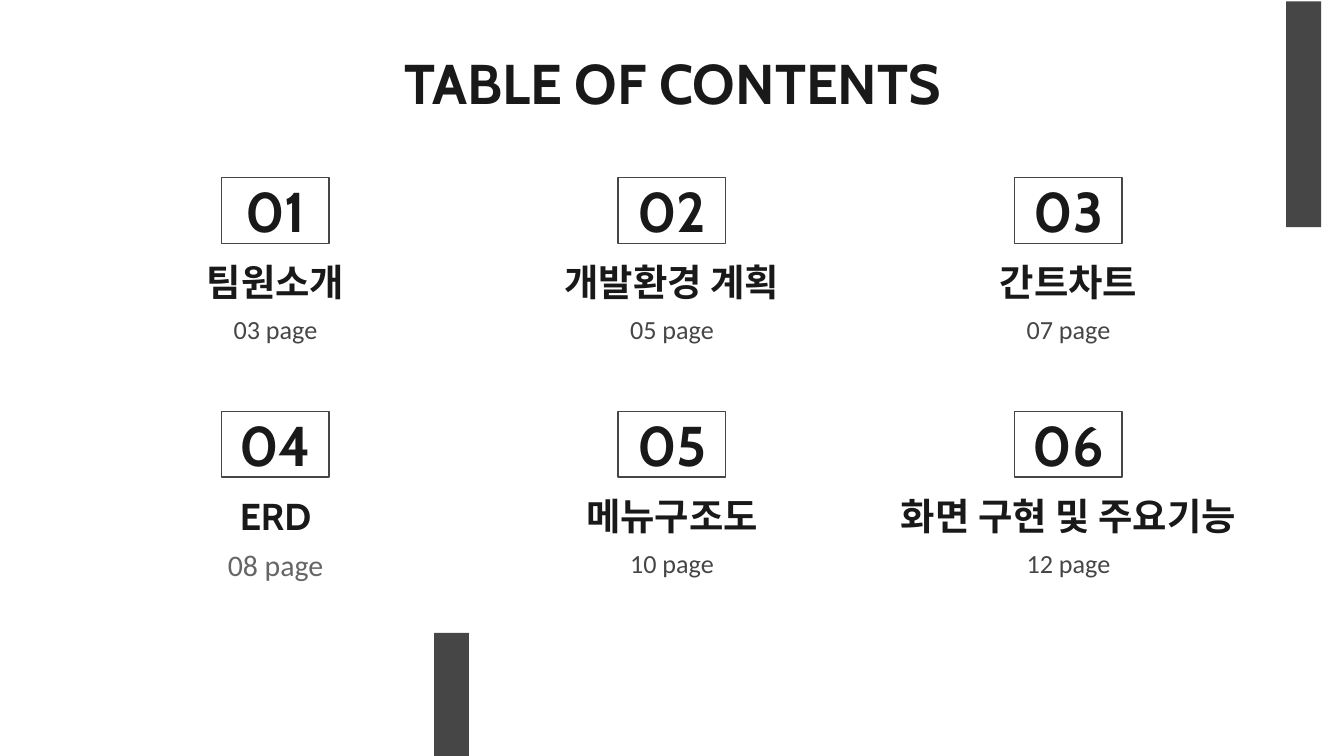
import dataclasses
import typing

import pptx
import pptx.dml.color
import pptx.enum.shapes
import pptx.enum.text
import pptx.presentation
import pptx.shapes.autoshape
import pptx.slide
import pptx.util

Inches = pptx.util.Inches
Anchor = pptx.enum.text.MSO_ANCHOR

SLIDE_WIDTH = 10
SLIDE_HEIGHT = SLIDE_WIDTH * 9 / 16


@dataclasses.dataclass(frozen=True)
class TextStyle:
    size: int
    name: str
    color: str
    bold: bool = False


@dataclasses.dataclass(frozen=True)
class Theme:
    background: str = "FFFFFF"
    accent: str = "474646"
    line_width: float = 0.75
    inset: float = 0.1
    title: TextStyle = TextStyle(30, "Cabin", "191919", True)
    label: TextStyle = TextStyle(20, "Cabin", "191919", True)
    page: TextStyle = TextStyle(14, "Calibri", "474646")
    large_page: TextStyle = TextStyle(16, "Calibri", "666666")


@dataclasses.dataclass(frozen=True)
class Grid:
    columns: int = 3
    center: float = 2.05
    column_pitch: float = 2.95
    top: float = 1.32
    row_pitch: float = 1.74
    text_width: float = 2.52


class Box(typing.NamedTuple):
    left: float
    top: float
    width: float
    height: float

    def lengths(self) -> list[pptx.util.Length]:
        return [Inches(value) for value in self]


THEME = Theme()
GRID = Grid()


class Section(typing.NamedTuple):
    label: str
    page: str
    label_width: float = GRID.text_width
    page_style: TextStyle = THEME.page


SECTIONS = [
    Section("팀원소개", "03 page"),
    Section("개발환경 계획", "05 page"),
    Section("간트차트", "07 page"),
    Section("ERD", "08 page", page_style=THEME.large_page),
    Section("메뉴구조도", "10 page"),
    Section("화면 구현 및 주요기능", "12 page", label_width=2.98),
]
BARS = [Box(9.57, 0.01, 0.26, 1.68), Box(3.23, 4.71, 0.26, SLIDE_HEIGHT - 4.71)]


def rgb(color: str) -> pptx.dml.color.RGBColor:
    return pptx.dml.color.RGBColor.from_string(color)


def write(shape: pptx.shapes.autoshape.Shape, text: str, style: TextStyle,
          anchor: Anchor = Anchor.TOP) -> None:
    frame = shape.text_frame
    inset = Inches(THEME.inset)
    frame_format = {
        "text": text,
        "word_wrap": True,
        "auto_size": pptx.enum.text.MSO_AUTO_SIZE.NONE,
        "vertical_anchor": anchor,
        "margin_left": inset,
        "margin_top": inset,
        "margin_right": inset,
        "margin_bottom": inset,
    }
    for name, value in frame_format.items():
        setattr(frame, name, value)
    paragraph = frame.paragraphs[0]
    paragraph.alignment = pptx.enum.text.PP_ALIGN.CENTER
    font = paragraph.runs[0].font
    font_format = {"size": pptx.util.Pt(style.size), "name": style.name, "bold": style.bold}
    for name, value in font_format.items():
        setattr(font, name, value)
    font.color.rgb = rgb(style.color)


def add_rectangle(slide: pptx.slide.Slide, box: Box) -> pptx.shapes.autoshape.Shape:
    shape = slide.shapes.add_shape(pptx.enum.shapes.MSO_SHAPE.RECTANGLE, *box.lengths())
    shape.shadow.inherit = False
    return shape


def add_bar(slide: pptx.slide.Slide, box: Box) -> None:
    bar = add_rectangle(slide, box)
    bar.fill.solid()
    bar.fill.fore_color.rgb = rgb(THEME.accent)
    bar.line.fill.background()


def add_number(slide: pptx.slide.Slide, box: Box, number: int) -> None:
    shape = add_rectangle(slide, box)
    shape.fill.background()
    shape.line.color.rgb = rgb(THEME.accent)
    shape.line.width = pptx.util.Pt(THEME.line_width)
    write(shape, f"{number:02d}", THEME.title, Anchor.MIDDLE)


def add_section(slide: pptx.slide.Slide, index: int, section: Section) -> None:
    row, column = divmod(index, GRID.columns)
    center = GRID.center + column * GRID.column_pitch
    top = GRID.top + row * GRID.row_pitch

    def cell(offset: float, width: float, height: float) -> Box:
        return Box(center - width / 2, top + offset, width, height)

    add_number(slide, cell(0, 0.8, 0.49), index + 1)
    label = slide.shapes.add_textbox(*cell(0.49, section.label_width, 0.55).lengths())
    write(label, section.label, THEME.label, Anchor.BOTTOM)
    page = slide.shapes.add_textbox(*cell(0.91, GRID.text_width, 0.63).lengths())
    write(page, section.page, section.page_style)


def add_title(slide: pptx.slide.Slide, text: str, box: Box) -> None:
    title = slide.shapes.title
    for name, value in zip(box._fields, box.lengths()):
        setattr(title, name, value)
    write(title, text, THEME.title)


def main() -> None:
    presentation = pptx.Presentation()
    presentation.slide_width = Inches(SLIDE_WIDTH)
    presentation.slide_height = Inches(SLIDE_HEIGHT)
    slide = presentation.slides.add_slide(presentation.slide_layouts.get_by_name("Title Only"))
    slide.background.fill.solid()
    slide.background.fill.fore_color.rgb = rgb(THEME.background)
    add_title(slide, "TABLE OF CONTENTS", Box(0.79, 0.26, 8.43, 0.63))
    for bar in BARS:
        add_bar(slide, bar)
    for index, section in enumerate(SECTIONS):
        add_section(slide, index, section)
    presentation.save("out.pptx")


if __name__ == "__main__":
    main()
